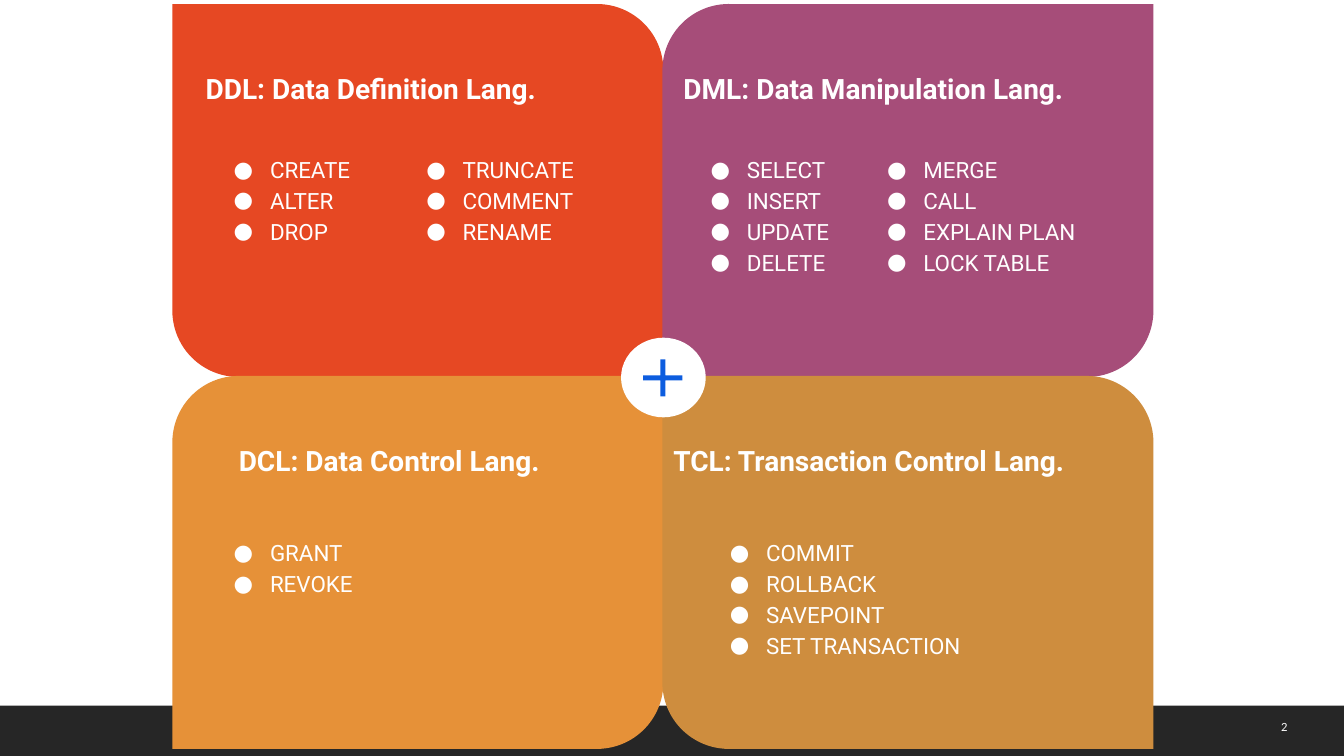
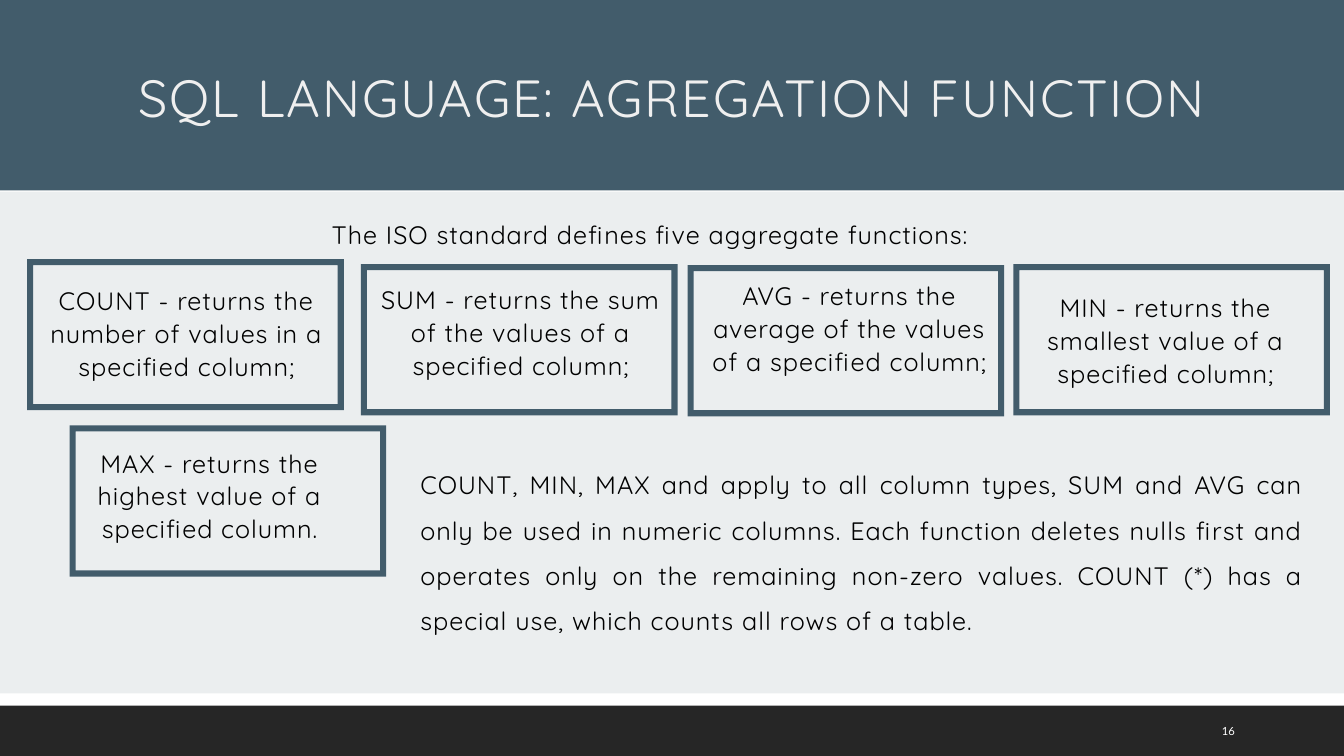
from dataclasses import dataclass

from lxml.etree import SubElement
from pptx import Presentation
from pptx.dml.color import RGBColor
from pptx.enum.shapes import MSO_SHAPE as Shape
from pptx.enum.text import MSO_ANCHOR as Anchor, MSO_AUTO_SIZE as AutoSize, PP_ALIGN as Align
from pptx.oxml.ns import qn
from pptx.util import Inches, Pt


@dataclass(frozen=True)
class Theme:
    white: str = "FFFFFF"
    black: str = "000000"
    footer: str = "262626"
    slate: str = "425C6B"
    pale: str = "EFEFEF"
    red: str = "E64823"
    plum: str = "A64D79"
    orange: str = "E69138"
    ochre: str = "CE8D3E"
    blue: str = "0D5DDF"
    title_size: float = 37.3
    heading_size: float = 20
    body_size: float = 18
    list_size: float = 16
    number_size: float = 8


THEME = Theme()
NUMBER = {"name": "Lato", "size": THEME.number_size, "color": THEME.white}
HEADING = {"name": "Roboto", "size": THEME.heading_size, "color": THEME.white, "bold": True}
LIST = {"name": "Roboto", "size": THEME.list_size, "color": THEME.white}
TITLE = {"name": "Quicksand", "size": THEME.title_size, "color": THEME.pale, "spacing": 1.3}
BODY = {"name": "Quicksand", "size": THEME.body_size, "color": THEME.black, "spacing": 0.7}

PANEL_WIDTH, PANEL_HEIGHT = 4.87, 3.7
CARD_WIDTH, CARD_HEIGHT, CARD_BORDER = 3.14, 1.5, 0.06

# Heading and lists: offset from the panel's left edge, then width
PANELS = [
    {"at": (1.71, 0.04), "color": THEME.red, "corners": (0, 0.178),
     "heading": ("DDL: Data Definition Lang.", 0.23, 4.39), "list_top": 1.37,
     "lists": [(0.37, 1.76, ["CREATE", "ALTER", "DROP"]),
               (2.28, 2.2, ["TRUNCATE", "COMMENT", "RENAME"])]},
    {"at": (6.57, 0.04), "color": THEME.plum, "corners": (0.178, 0),
     "heading": ("DML: Data Manipulation Lang.", 0.11, 4.64), "list_top": 1.37,
     "lists": [(0.24, 1.76, ["SELECT", "INSERT", "UPDATE", "DELETE"]),
               (1.99, 2.71, ["MERGE", "CALL", "EXPLAIN PLAN", "LOCK TABLE"])]},
    {"at": (1.71, 3.73), "color": THEME.orange, "corners": (0.178, 0),
     "heading": ("DCL: Data Control Lang.", 0.56, 3.64), "list_top": 1.48,
     "lists": [(0.37, 1.76, ["GRANT", "REVOKE"])]},
    {"at": (6.57, 3.73), "color": THEME.ochre, "corners": (0, 0.178),
     "heading": ("TCL: Transaction Control Lang.", 0.01, 4.69), "list_top": 1.48,
     "lists": [(0.43, 3.77, ["COMMIT", "ROLLBACK", "SAVEPOINT", "SET TRANSACTION"])]},
]

# Card corner, then the text's offset from it and the text's width
CARDS = [
    ((0.27, 2.57), (0.09, 0.24), 2.98,
     "COUNT - returns the number of values in a specified column;"),
    ((3.58, 2.62), (0.1, 0.18), 2.97,
     "SUM - returns the sum of the values of a specified column;"),
    ((6.82, 2.63), (0.11, 0.13), 2.99,
     "AVG - returns the average of the values of a specified column;"),
    ((10.05, 2.62), (0.06, 0.26), 2.9,
     "MIN - returns the smallest value of a specified column;"),
    ((0.69, 4.22), (-0.11, 0.2), 3,
     "MAX - returns the highest value of a specified column."),
]


def add_block(page, kind, box, color, adjustments=(), alpha=None):
    """Add a filled shape without outline; alpha is a percentage."""
    block = page.shapes.add_shape(kind, *map(Inches, box))
    block.shadow.inherit = False
    block.fill.solid()
    block.fill.fore_color.rgb = RGBColor.from_string(color)
    block.line.fill.background()
    for index, value in enumerate(adjustments):
        block.adjustments[index] = value
    if alpha is not None:
        color_node = block.element.spPr.find(qn("a:solidFill"))[0]
        SubElement(color_node, qn("a:alpha"), val=str(alpha * 1000))
    return block


def format_span(span, style):
    color, spacing = style["color"], style.get("spacing")
    values = {"name": style["name"], "size": Pt(style["size"]), "bold": style.get("bold", False)}
    for key, value in values.items():
        setattr(span.font, key, value)
    span.font.color.rgb = RGBColor.from_string(color)
    if spacing:
        span.font._element.set("spc", str(round(spacing * 100)))


def add_bullet(para, color):
    props = para._p.get_or_add_pPr()
    props.set("marL", str(Inches(0.5)))
    props.set("indent", str(Inches(-0.36)))
    SubElement(SubElement(props, qn("a:buClr")), qn("a:srgbClr"), val=color)
    SubElement(props, qn("a:buFont"), typeface="Roboto")
    SubElement(props, qn("a:buChar"), char="●")


def fill_text(frame, lines, style, insets=(0, 0), anchor=Anchor.TOP,
              align=Align.LEFT, leading=None, bullets=False):
    """Write one paragraph per line; insets are horizontal, vertical."""
    across, down = map(Inches, insets)
    values = {"word_wrap": True, "auto_size": AutoSize.NONE, "vertical_anchor": anchor,
              "margin_left": across, "margin_right": across,
              "margin_top": down, "margin_bottom": down}
    for key, value in values.items():
        setattr(frame, key, value)
    for index, line in enumerate(lines):
        para = frame.paragraphs[0] if index == 0 else frame.add_paragraph()
        if bullets:
            add_bullet(para, style["color"])
        para.alignment = align
        para.line_spacing = leading
        span = para.add_run()
        span.text = line
        format_span(span, style)


def add_text(page, box, lines, style, **options):
    text_box = page.shapes.add_textbox(*map(Inches, box))
    fill_text(text_box.text_frame, lines, style, **options)


def add_footer(page, number, **options):
    add_block(page, Shape.RECTANGLE, (0, 7, 13.33, 0.5), THEME.footer)
    add_text(page, (12.02, 7.05, 0.85, 0.4), [number], NUMBER, **options)


def add_title(page, text):
    band = add_block(page, Shape.RECTANGLE, (-0.06, -0.03, 13.5, 1.92), THEME.slate)
    title = page.shapes.title
    title.element.addprevious(band.element)
    box = dict(zip(("left", "top", "width", "height"), map(Inches, (0, 0.62, 13.33, 0.61))))
    for key, value in box.items():
        setattr(title, key, value)
    fill_text(title.text_frame, [text], TITLE, align=Align.CENTER, leading=Pt(46.7))


def add_panel(page, panel):
    left, top = panel["at"]
    add_block(page, Shape.ROUND_2_DIAG_RECTANGLE, (left, top, PANEL_WIDTH, PANEL_HEIGHT),
              panel["color"], panel["corners"])
    heading, offset, width = panel["heading"]
    add_text(page, (left + offset, top + 0.57, width, 1.09), [heading], HEADING,
             insets=(0.1, 0.1))
    for offset, width, commands in panel["lists"]:
        add_text(page, (left + offset, top + panel["list_top"], width, 1.21), commands, LIST,
                 insets=(0.1, 0.1), leading=1.15, bullets=True)


def add_plus_badge(page, left, top):
    add_block(page, Shape.OVAL, (left, top, 0.84, 0.79), THEME.white)
    add_block(page, Shape.MATH_PLUS, (left + 0.15, top + 0.15, 0.53, 0.5), THEME.blue, (0.099,))


def add_card(page, corner, offset, text_width, text):
    left, top = corner
    across, down = offset
    add_block(page, Shape.FRAME, (left, top, CARD_WIDTH, CARD_HEIGHT), THEME.slate,
              (CARD_BORDER / CARD_HEIGHT,))
    add_text(page, (left + across, top + down, text_width, 0.95), [text], BODY,
             align=Align.CENTER, leading=Pt(23.3))


def build_sublanguages(deck):
    page = deck.slides.add_slide(deck.slide_layouts[6])
    add_footer(page, "2", insets=(0.1, 0.1), align=Align.RIGHT)
    for panel in PANELS:
        add_panel(page, panel)
    add_plus_badge(page, 6.16, 3.35)


def build_aggregates(deck):
    page = deck.slides.add_slide(deck.slide_layouts[5])
    add_footer(page, "16", insets=(0.1, 0.05), anchor=Anchor.MIDDLE)
    add_title(page, "SQL LANGUAGE: AGREGATION FUNCTION")
    add_block(page, Shape.RECTANGLE, (0, 1.9, 13.33, 4.98), THEME.slate, alpha=10)
    add_text(page, (3.29, 2.03, 7.04, 0.41),
             ["The ISO standard defines five aggregate functions:"], BODY,
             align=Align.JUSTIFY, leading=1.5)
    for card in CARDS:
        add_card(page, *card)
    add_text(page, (4.17, 4.51, 8.76, 1.83),
             ["COUNT, MIN, MAX and apply to all column types, SUM and AVG can only be used in "
              "numeric columns. Each function deletes nulls first and operates only on the "
              "remaining non-zero values. COUNT (*) has a special use, which counts all rows "
              "of a table."], BODY, align=Align.JUSTIFY, leading=1.5)


def main():
    deck = Presentation()
    deck.slide_width, deck.slide_height = Inches(13.33), Inches(7.5)
    build_sublanguages(deck)
    build_aggregates(deck)
    deck.save("out.pptx")


if __name__ == "__main__":
    main()
